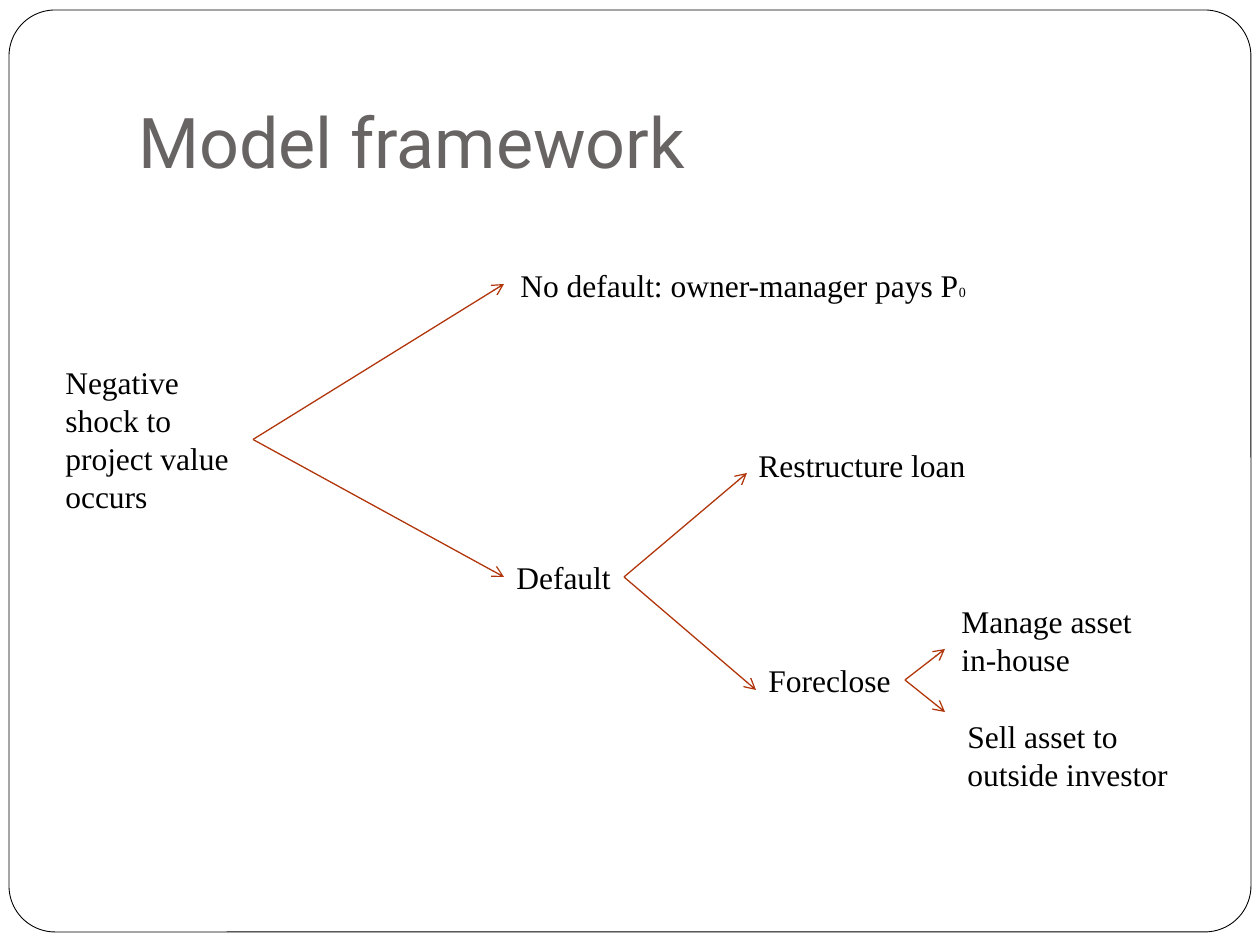
from lxml import etree
from pptx import Presentation
from pptx.dml.color import RGBColor
from pptx.enum.shapes import MSO_CONNECTOR as Connector, MSO_SHAPE as Shape
from pptx.enum.text import MSO_ANCHOR as Anchor, MSO_AUTO_SIZE as AutoSize, PP_ALIGN as Align
from pptx.oxml.ns import qn
from pptx.util import Emu, Inches, Pt

EMU_PER_PX = Inches(1) / 126
COLORS = {"paper": "FFFFFF", "ink": "000000", "title": "696464", "arrow": "B1360B"}
LEFT_SIDE, RIGHT_SIDE = 1, 3


def px(*lengths):
    return [Emu(round(length * EMU_PER_PX)) for length in lengths]


def color(name):
    return RGBColor.from_string(COLORS[name])


class TreeSlide:
    title_font, body_font = "Roboto", "Times New Roman"
    title_size, body_size, subscript_size = 40, 18, 8

    def __init__(self, slide):
        self.shapes = slide.shapes

    def frame(self, *box):
        frame = self.shapes.add_shape(Shape.ROUNDED_RECTANGLE, *px(*box))
        frame.adjustments[0] = 0.05
        frame.shadow.inherit = False
        frame.fill.solid()
        frame.fill.fore_color.rgb = color("paper")
        frame.line.color.rgb = color("ink")
        frame.line.width = Pt(0.5)

    def style(self, run, font, size, color_name):
        run.font.name = font
        run.font.size = Pt(size)
        run.font.color.rgb = color(color_name)

    def title(self, wording, *box):
        text_frame = self.shapes.add_textbox(*px(*box)).text_frame
        text_frame.word_wrap = True
        text_frame.vertical_anchor = Anchor.BOTTOM
        text_frame.margin_bottom = Inches(0.1)
        text_frame.text = wording
        self.style(text_frame.paragraphs[0].runs[0], self.title_font, self.title_size, "title")

    def outcome(self, wording, *box, subscript=""):
        label = self.shapes.add_textbox(*px(*box))
        text_frame = label.text_frame
        text_frame.word_wrap = False
        text_frame.auto_size = AutoSize.SHAPE_TO_FIT_TEXT
        text_frame.text = wording
        for paragraph in text_frame.paragraphs:
            paragraph.alignment = Align.LEFT
            self.style(paragraph.runs[0], self.body_font, self.body_size, "ink")
        if subscript:
            small = text_frame.paragraphs[-1].add_run()
            small.text = subscript
            self.style(small, self.body_font, self.subscript_size, "ink")
        return label

    def branch(self, source, tip, target=None):
        """Arrow from the right side of source to tip, joined to target if given."""
        start = source.left + source.width, source.top + source.height // 2
        arrow = self.shapes.add_connector(Connector.STRAIGHT, *start, *px(*tip))
        arrow.begin_connect(source, RIGHT_SIDE)
        if target is not None:
            arrow.end_connect(target, LEFT_SIDE)
        arrow.line.color.rgb = color("arrow")
        arrow.line.width = Pt(0.75)
        etree.SubElement(arrow.line._get_or_add_ln(), qn("a:tailEnd"), type="arrow")
        etree.SubElement(arrow._element.spPr, qn("a:effectLst"))


def main():
    deck = Presentation()
    deck.slide_width, deck.slide_height = Inches(10), Inches(7.5)
    tree = TreeSlide(deck.slides.add_slide(deck.slide_layouts[6]))

    tree.frame(9, 10, 1242, 922)
    tree.title("Model framework", 126, 38, 1071, 157)

    shock = tree.outcome("Negative\nshock to\nproject value\noccurs", 53, 357, 200, 165)
    tree.outcome("No default: owner-manager pays P", 508, 260, 480, 50, subscript="0")
    default = tree.outcome("Default", 504, 552, 120, 50)
    tree.outcome("Restructure loan", 746, 440, 239, 50)
    foreclose = tree.outcome("Foreclose", 756, 655, 149, 50)
    tree.outcome("Manage asset\nin-house", 949, 596, 212, 89)
    tree.outcome("Sell asset to\noutside investor", 955, 711, 233, 89)

    tree.branch(shock, (504, 284))
    tree.branch(shock, (504, 577), default)
    tree.branch(default, (747, 473))
    tree.branch(default, (756, 690))
    tree.branch(foreclose, (945, 649))
    tree.branch(foreclose, (945, 712))

    deck.save("out.pptx")


if __name__ == "__main__":
    main()
